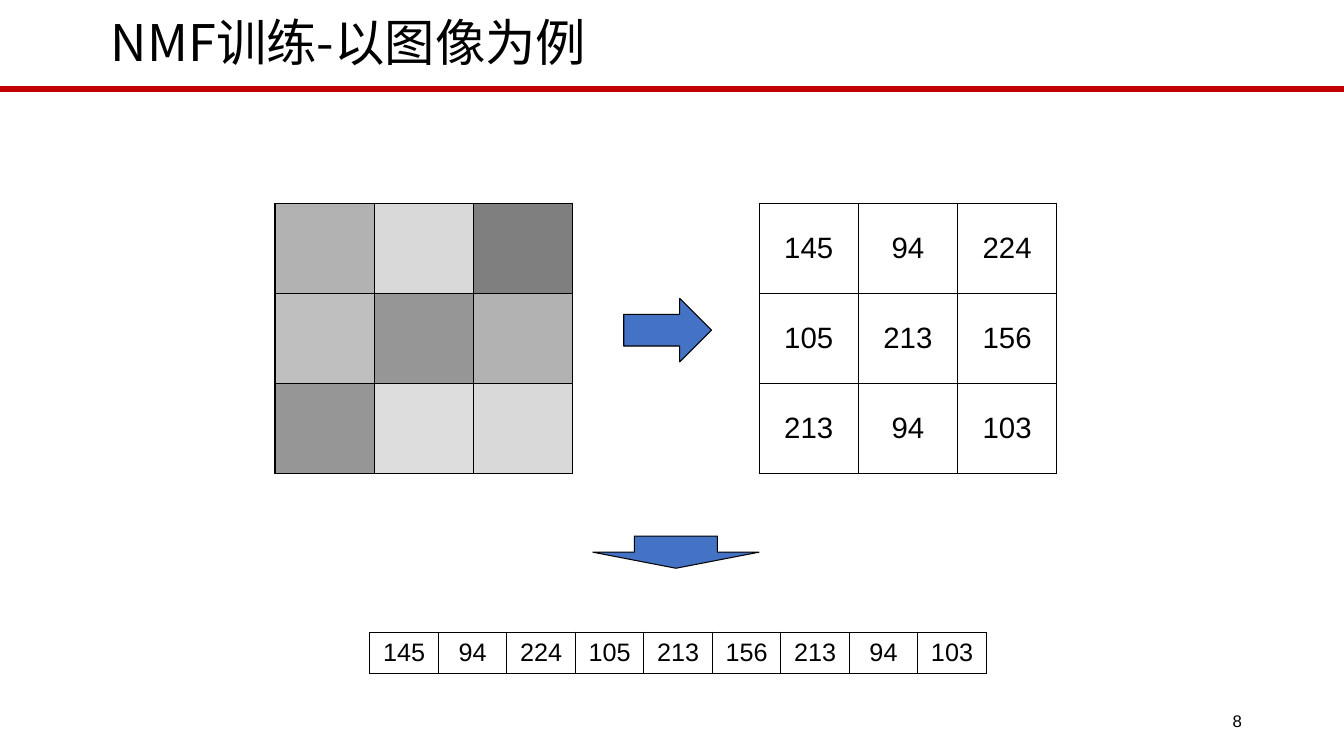
from lxml import etree
from pptx import Presentation
from pptx.dml.color import RGBColor
from pptx.enum import shapes, text
from pptx.oxml import ns
from pptx.util import Cm, Pt

BLACK = RGBColor(0x00, 0x00, 0x00)
RED = RGBColor(0xC0, 0x00, 0x00)
BLUE = RGBColor(0x44, 0x72, 0xC4)

GRAYS = [["B2B2B2", "D9D9D9", "7F7F7F"],
         ["BFBFBF", "969696", "B2B2B2"],
         ["969696", "DDDDDD", "D9D9D9"]]
PIXELS = [[145, 94, 224],
          [105, 213, 156],
          [213, 94, 103]]


def set_font(par, size, name="Arial"):
    par.font.size = Pt(size)
    par.font.name = name
    par.font.color.rgb = BLACK


def add_title(slide, words):
    title = slide.shapes.title
    title.left, title.top = Cm(2.54), Cm(0.28)
    title.width, title.height = Cm(19.91), Cm(1.73)
    frame = title.text_frame
    frame.text = words
    frame.vertical_anchor = text.MSO_ANCHOR.MIDDLE
    par = frame.paragraphs[0]
    par.alignment = text.PP_ALIGN.LEFT
    par.line_spacing = 0.9
    face = "Noto Sans CJK SC"
    set_font(par, 36, face)
    props = par.runs[0].font
    props.size, props.name = Pt(36), face
    latin = par.runs[0]._r.rPr.find(ns.qn("a:latin"))
    east = etree.Element(ns.qn("a:ea"), typeface=face)
    latin.addnext(east)


def add_rule(slide, width):
    rule = slide.shapes.add_connector(
        shapes.MSO_CONNECTOR.STRAIGHT, 0, Cm(2.24), width, Cm(2.24))
    rule.line.color.rgb = RED
    rule.line.width = Pt(4.5)
    etree.SubElement(rule._element.spPr, ns.qn("a:effectLst"))


def add_borders(cell):
    props = cell._tc.get_or_add_tcPr()
    for side in ("lnL", "lnR", "lnT", "lnB"):
        edge = etree.SubElement(props, ns.qn("a:" + side), w=str(Pt(1)))
        fill = etree.SubElement(edge, ns.qn("a:solidFill"))
        etree.SubElement(fill, ns.qn("a:srgbClr"), val=str(BLACK))


def add_grid(slide, rows, left, top, width, height):
    """Add a bordered table and yield each cell with its value."""
    table = slide.shapes.add_table(
        len(rows), len(rows[0]), left, top, width, height).table
    table.first_row = table.horz_banding = False
    for r, row in enumerate(rows):
        for c, value in enumerate(row):
            cell = table.cell(r, c)
            add_borders(cell)
            yield cell, value


def add_shades(slide, rows, *box):
    for cell, shade in add_grid(slide, rows, *box):
        cell.fill.solid()
        cell.fill.fore_color.rgb = RGBColor.from_string(shade)


def add_numbers(slide, rows, size, *box):
    for cell, value in add_grid(slide, rows, *box):
        cell.fill.background()
        cell.text = str(value)
        cell.vertical_anchor = text.MSO_ANCHOR.MIDDLE
        par = cell.text_frame.paragraphs[0]
        par.alignment = text.PP_ALIGN.CENTER
        set_font(par, size)


def add_arrow(slide, kind, *box):
    arrow = slide.shapes.add_shape(kind, *box)
    arrow.shadow.inherit = False
    arrow.fill.solid()
    arrow.fill.fore_color.rgb = BLUE
    arrow.line.color.rgb = BLACK
    arrow.line.width = Pt(0.75)


def add_page(slide, number):
    box = slide.shapes.add_textbox(Cm(23.93), Cm(17.65), Cm(7.62), Cm(1.02))
    frame = box.text_frame
    frame.word_wrap = True
    frame.vertical_anchor = text.MSO_ANCHOR.MIDDLE
    frame.text = str(number)
    par = frame.paragraphs[0]
    par.alignment = text.PP_ALIGN.RIGHT
    set_font(par, 12)


def main():
    deck = Presentation()
    deck.slide_width, deck.slide_height = Cm(33.87), Cm(19.05)
    slide = deck.slides.add_slide(deck.slide_layouts.get_by_name("Title Only"))
    kind = shapes.MSO_SHAPE
    top, side, tall = Cm(5.13), Cm(7.5), Cm(6.8)

    add_rule(slide, deck.slide_width)
    add_title(slide, "NMF训练-以图像为例")
    add_shades(slide, GRAYS, Cm(6.93), top, side, tall)
    add_arrow(slide, kind.RIGHT_ARROW, Cm(15.72), Cm(7.52), Cm(2.21), Cm(1.6))
    add_numbers(slide, PIXELS, 21, Cm(19.13), top, side, tall)
    add_arrow(slide, kind.DOWN_ARROW, Cm(14.94), Cm(13.51), Cm(4.19), Cm(0.81))
    vector = [sum(PIXELS, [])]
    add_numbers(slide, vector, 18, Cm(9.32), Cm(15.93), Cm(15.54), Cm(1.04))
    add_page(slide, 8)
    deck.save("out.pptx")


if __name__ == "__main__":
    main()
